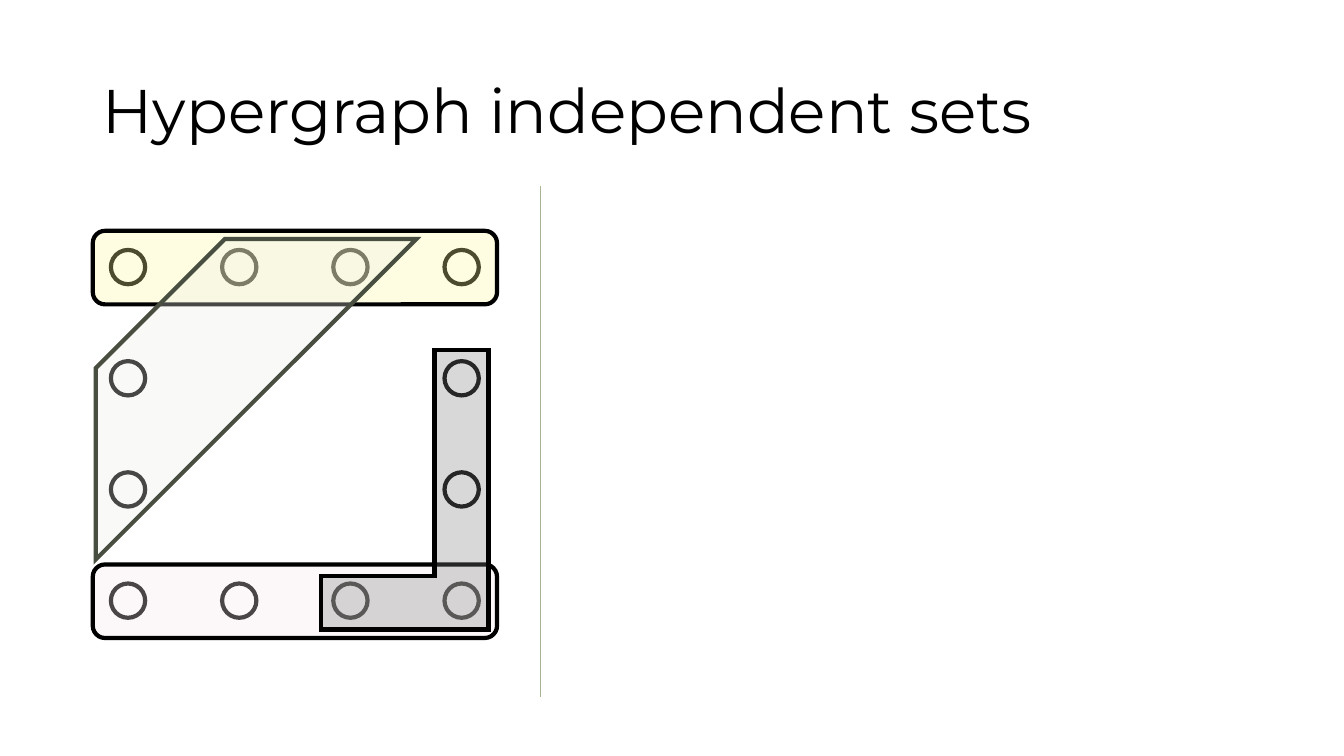
"""Builds a slide showing a hypergraph with twelve nodes and four hyperedges."""
from lxml import etree
from pptx import Presentation
from pptx.dml import color as dml
from pptx.enum import shapes, text
from pptx.oxml import ns
from pptx.util import Inches, Pt

COLORS = {
    "black": "000000", "white": "FFFFFF", "yellow": "FDF69C", "pink": "F6E9ED",
    "pale": "EDF0E9", "olive": "484F40", "gray": "7F7F7F", "green": "A5B592",
}


def rgb(name):
    return dml.RGBColor.from_string(COLORS[name])


def add_part(group, kind, box, fill, line="black", opacity=100):
    part = group.shapes.add_shape(kind, *[Inches(length) for length in box])
    part.shadow.inherit = False
    part.fill.solid()
    part.fill.fore_color.rgb = rgb(fill)
    part.line.color.rgb = rgb(line)
    part.line.width = Pt(3)
    outline = part._element.spPr.find(ns.qn("a:ln"))
    etree.SubElement(outline, ns.qn("a:miter"), lim="800000")
    if opacity < 100:
        tint = part._element.spPr.find(ns.qn("a:solidFill"))[0]
        etree.SubElement(tint, ns.qn("a:alpha"), val=str(opacity * 1000))
    return part


prs = Presentation()
prs.slide_width, prs.slide_height = Inches(13.33), Inches(7.5)
slide = prs.slides.add_slide(prs.slide_layouts[5])

title = slide.shapes.title
title.left, title.top = Inches(0.92), Inches(0.4)
title.width, title.height = Inches(11.5), Inches(1.45)
title.text_frame.vertical_anchor = text.MSO_ANCHOR.MIDDLE
heading = title.text_frame.paragraphs[0]
heading.alignment = text.PP_ALIGN.LEFT
heading.line_spacing = 0.9
words = heading.add_run()
words.text = "Hypergraph independent sets"
words.font.name = "Montserrat"
words.font.size = Pt(44)
words.font.color.rgb = rgb("black")

hypergraph = slide.shapes.add_group_shape()
SHAPE = shapes.MSO_SHAPE
NODE_SIZE, NODE_GAP = 0.34, 1.103
for row in range(4):
    for column in range(4):
        if row in (0, 3) or column in (0, 3):
            node_box = (1.1 + column * NODE_GAP, 2.48 + row * NODE_GAP, NODE_SIZE, NODE_SIZE)
            add_part(hypergraph, SHAPE.OVAL, node_box, "white")

for edge_top, edge_fill in ((2.29, "yellow"), (5.6, "pink")):
    add_part(hypergraph, SHAPE.ROUNDED_RECTANGLE, (0.92, edge_top, 4.01, 0.73), edge_fill, opacity=30)

diagonal_edge = add_part(hypergraph, SHAPE.DIAGONAL_STRIPE, (0.95, 2.37, 3.18, 3.18), "pale", "olive", 30)
diagonal_edge.adjustments[0] = 0.403

corner_edge = add_part(hypergraph, SHAPE.CORNER, (2.63, 4.03, 2.77, 1.66), "gray", opacity=30)
corner_edge.adjustments[0] = corner_edge.adjustments[1] = 0.322
corner_edge.rotation = 270

divider = slide.shapes.add_connector(
    shapes.MSO_CONNECTOR.STRAIGHT, Inches(5.36), Inches(6.91), Inches(5.36), Inches(1.85))
divider.line.color.rgb = rgb("green")
divider.line.width = Pt(0.5)
etree.SubElement(divider._element.spPr, ns.qn("a:effectLst"))

prs.save("out.pptx")
